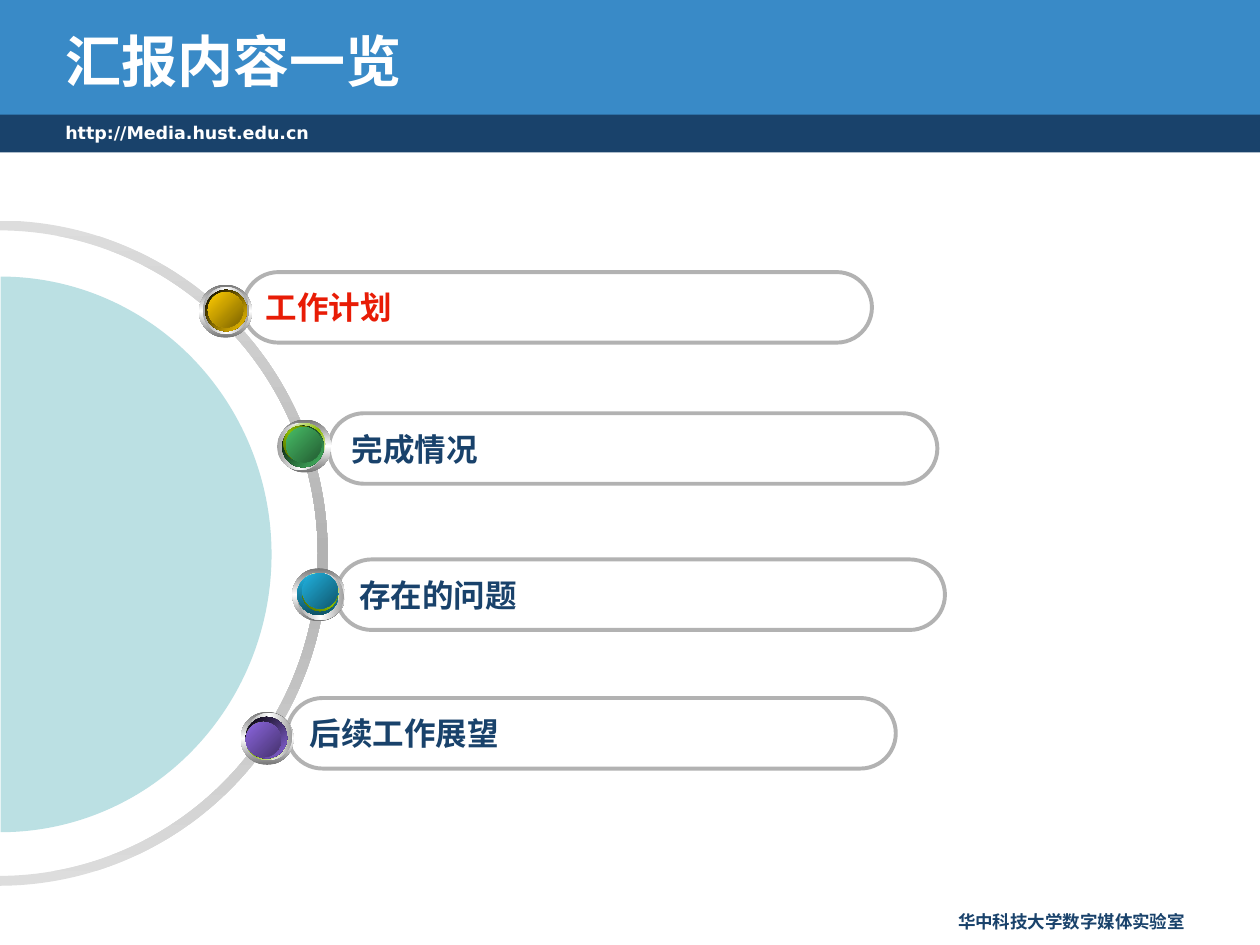
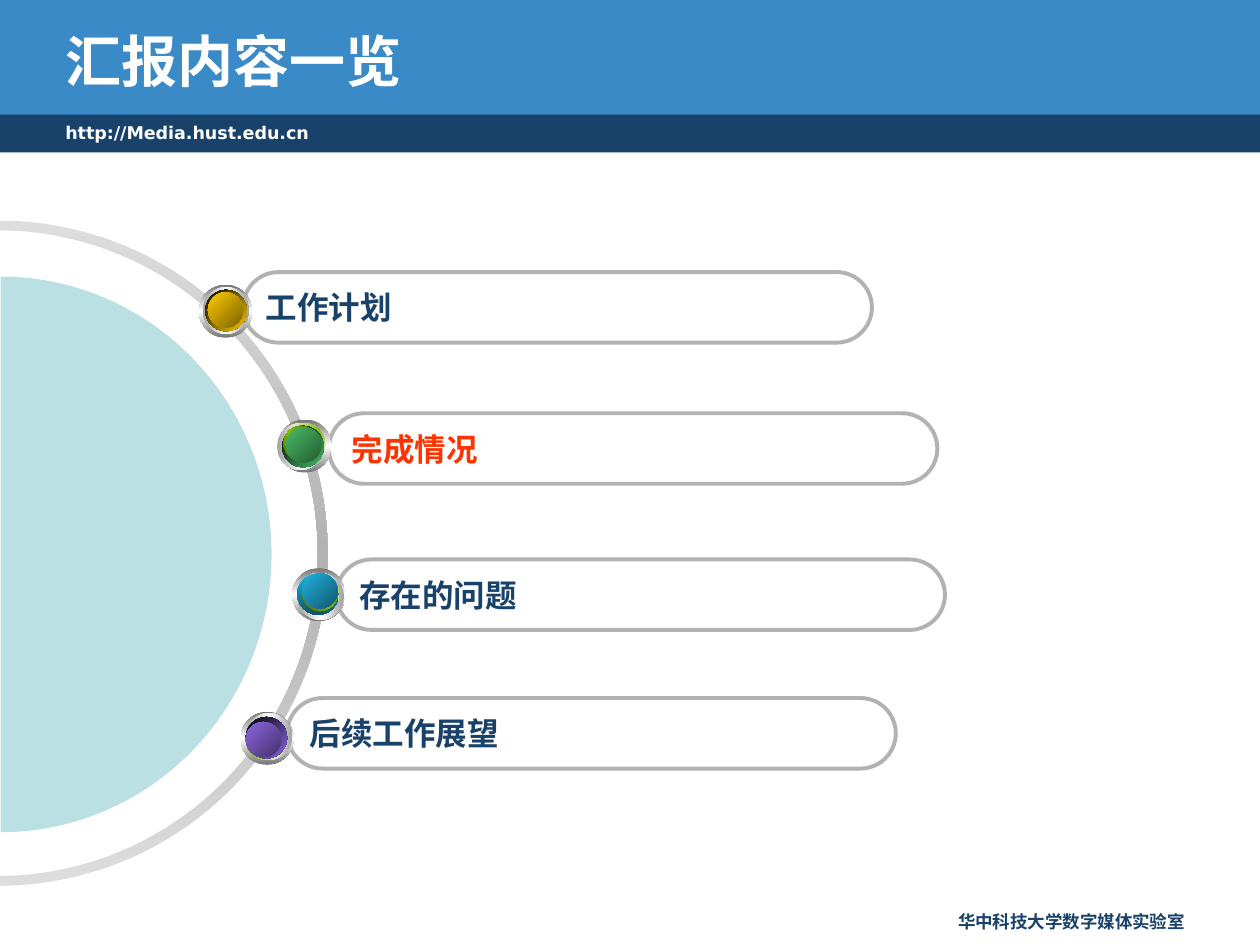
from lxml import etree
from pptx import Presentation
from pptx.dml.color import RGBColor
from pptx.enum import shapes, text
from pptx.oxml.ns import qn
from pptx.util import Inches, Pt

NAVY = RGBColor(0x19, 0x42, 0x6B)
BLUE = RGBColor(0x39, 0x8A, 0xC7)
AQUA = RGBColor(0xBB, 0xE0, 0xE3)
WHITE = RGBColor(0xFF, 0xFF, 0xFF)
BLACK = RGBColor(0x00, 0x00, 0x00)
RED = RGBColor(0xE8, 0x1C, 0x06)
ORANGE = RGBColor(0xFF, 0x33, 0x00)
SILVER = RGBColor(0xDD, 0xDD, 0xDD)
GREY = RGBColor(0xB2, 0xB2, 0xB2)
MID_GREY = RGBColor(0xA2, 0xA2, 0xA2)
DARK_GREY = RGBColor(0x76, 0x76, 0x76)
LIME = RGBColor(0x8B, 0xBC, 0x00)
OLIVE = RGBColor(0x4B, 0x65, 0x00)
GOLD = RGBColor(0xFF, 0xCC, 0x00)
DARK_GOLD = RGBColor(0x7C, 0x63, 0x00)
GREEN = RGBColor(0x48, 0xBE, 0x67)
DARK_GREEN = RGBColor(0x23, 0x5C, 0x32)
CYAN = RGBColor(0x21, 0xB3, 0xE1)
TEAL = RGBColor(0x0F, 0x53, 0x68)
DARK_CYAN = RGBColor(0x10, 0x57, 0x6D)
PURPLE = RGBColor(0x8D, 0x67, 0xE1)
DARK_PURPLE = RGBColor(0x45, 0x32, 0x6D)

CJK = "Noto Sans CJK SC"
LATIN = "DejaVu Sans"
PILL_HEIGHT = 0.56
BALL_SIZES = [0.42, 0.37, 0.33, 0.33, 0.28, 0.28]

ITEMS = [
    ("工作计划", (1.93, 2.16, 4.99), ([BLACK, GOLD], 45), [GOLD, DARK_GOLD],
     [(1.58, 2.26), (1.61, 2.28), (1.63, 2.3), (1.63, 2.3), (1.65, 2.32), (1.65, 2.32)]),
    ("完成情况", (2.61, 3.28, 4.83), ([BLACK, GREEN], 45), [GREEN, DARK_GREEN],
     [(2.21, 3.33), (2.2, 3.36), (2.25, 3.36), (2.24, 3.38), (2.25, 3.38), (2.27, 3.39)]),
    ("存在的问题", (2.67, 4.44, 4.83), ([CYAN, TEAL], 90), [CYAN, DARK_CYAN],
     [(2.32, 4.51), (2.36, 4.55), (2.36, 4.55), (2.36, 4.55), (2.4, 4.57), (2.4, 4.55)]),
    ("后续工作展望", (2.28, 5.54, 4.83), ([BLACK, PURPLE], 45), [PURPLE, DARK_PURPLE],
     [(1.91, 5.65), (1.95, 5.66), (1.95, 5.7), (1.95, 5.69), (1.95, 5.73), (1.95, 5.73)]),
]


def add_shape(s, kind, x, y, w, h, colors=(), angle=0):
    sp = s.shapes.add_shape(kind, Inches(x), Inches(y), Inches(w), Inches(h))
    sp.shadow.inherit = False
    sp.line.fill.background()
    if not colors:
        sp.fill.background()
    elif len(colors) == 1:
        sp.fill.solid()
        sp.fill.fore_color.rgb = colors[0]
    else:
        sp.fill.gradient()
        sp.fill.gradient_angle = -angle % 360
        stops = sp._element.spPr.find(".//" + qn("a:gsLst"))
        stops.clear()
        for i, color in enumerate(colors):
            pos = 100000 * i // (len(colors) - 1)
            gs = etree.SubElement(stops, qn("a:gs"), pos=str(pos))
            etree.SubElement(gs, qn("a:srgbClr"), val=str(color))
    return sp


def write(sp, words, size, color, font=CJK, align=text.PP_ALIGN.LEFT,
          anchor=text.MSO_ANCHOR.TOP):
    tf = sp.text_frame
    tf.word_wrap = True
    tf.vertical_anchor = anchor
    p = tf.paragraphs[0]
    p.text = words
    p.alignment = align
    p.font.size = Pt(size)
    p.font.bold = True
    p.font.color.rgb = color
    p.font.name = font
    props = p._p.find(".//" + qn("a:defRPr"))
    etree.SubElement(props, qn("a:ea"), typeface=font)


prs = Presentation()
prs.slide_width, prs.slide_height = Inches(10), Inches(7.5)
KIND = shapes.MSO_SHAPE
MIDDLE = text.MSO_ANCHOR.MIDDLE

for current, highlight in enumerate([RED, ORANGE]):
    s = prs.slides.add_slide(prs.slide_layouts[6])
    add_shape(s, KIND.RECTANGLE, 0, 0.87, 10, 0.34, [NAVY])
    add_shape(s, KIND.RECTANGLE, 0, 0, 10, 0.91, [BLUE])

    ring = add_shape(s, KIND.BLOCK_ARC, -2.65, 1.78, 5.28, 5.22, [SILVER, GREY, SILVER])
    disc = add_shape(s, KIND.BLOCK_ARC, -2.2, 2.25, 4.41, 4.3, [AQUA])
    for sp, thickness in [(ring, 0.015), (disc, 0.5)]:
        sp.rotation = 90
        sp.adjustments[2] = thickness

    for i, (label, (x, y, w), (rim, rim_angle), face, spots) in enumerate(ITEMS):
        pill = add_shape(s, KIND.ROUNDED_RECTANGLE, x, y, w, PILL_HEIGHT)
        pill.adjustments[0] = 0.5
        pill.line.color.rgb = GREY
        pill.line.width = Pt(2.25)
        write(pill, label, 18, highlight if i == current else NAVY, anchor=MIDDLE)

        layers = [
            ([DARK_GREY, WHITE, DARK_GREY], 90),
            ([MID_GREY, WHITE, MID_GREY], 0),
            ([WHITE, LIME, WHITE], 45),
            (rim, rim_angle),
            ([OLIVE, LIME, OLIVE], 315),
            (face, 45),
        ]
        for (left, top), size, (colors, angle) in zip(spots, BALL_SIZES, layers):
            add_shape(s, KIND.OVAL, left, top, size, size, colors, angle)

    for words, box, size, color, font, align, anchor in [
        ("http://Media.hust.edu.cn", (0.42, 0.92, 6.5, 0.28), 10, WHITE, LATIN,
         text.PP_ALIGN.LEFT, text.MSO_ANCHOR.TOP),
        ("华中科技大学数字媒体实验室", (6.92, 7.18, 2.58, 0.27), 10, NAVY, CJK,
         text.PP_ALIGN.RIGHT, text.MSO_ANCHOR.TOP),
        ("汇报内容一览", (0.42, 0.17, 8.08, 0.62), 32, WHITE, CJK,
         text.PP_ALIGN.LEFT, MIDDLE),
    ]:
        sp = s.shapes.add_textbox(*[Inches(v) for v in box])
        write(sp, words, size, color, font, align, anchor)

prs.save("out.pptx")
